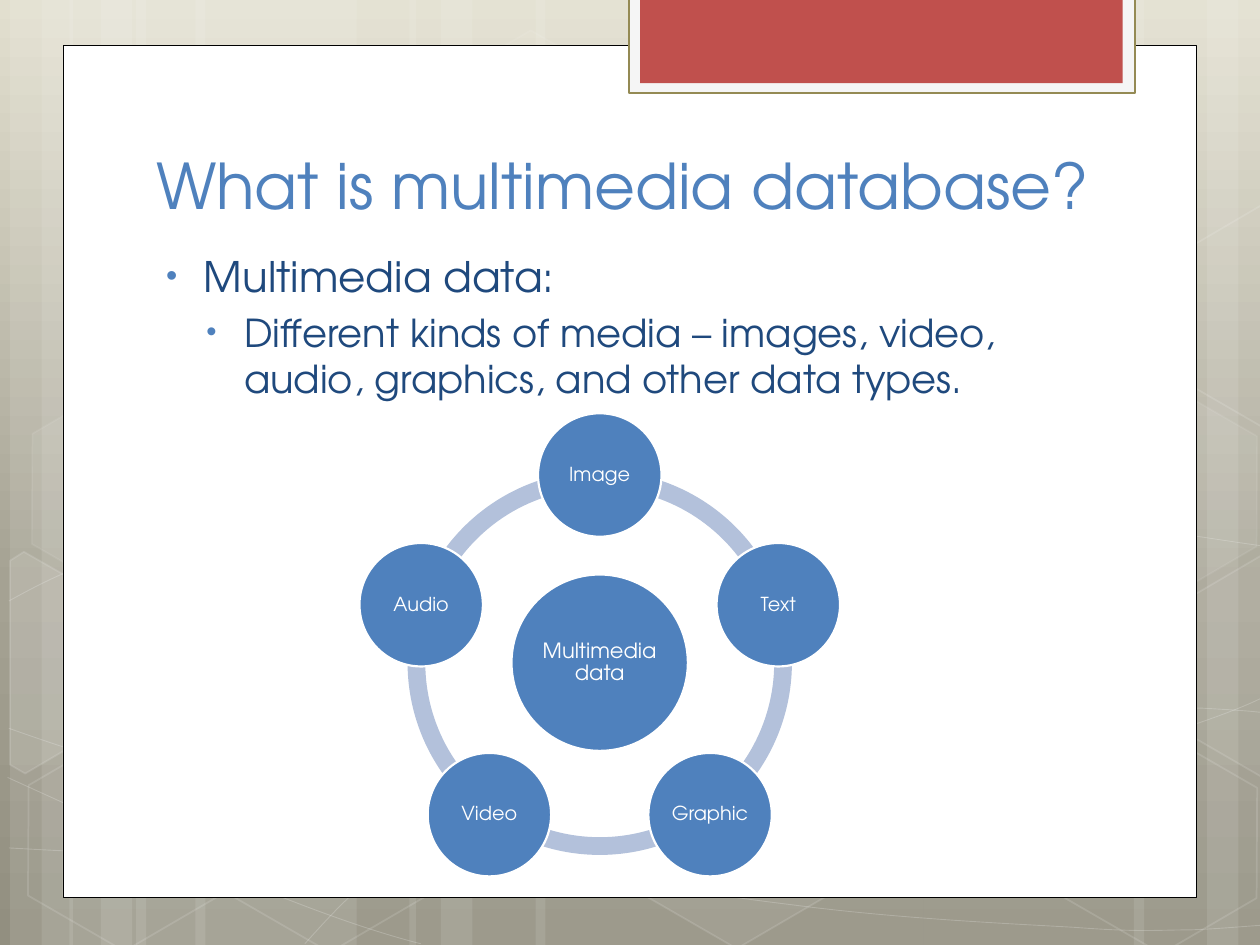
"""Build the slide "What is multimedia database?" with its ring diagram."""
import math
from dataclasses import dataclass

from lxml import etree
from pptx import Presentation, util as u
from pptx.dml.color import RGBColor
from pptx.enum import shapes as s, text as t
from pptx.oxml.ns import qn


@dataclass(frozen=True)
class Theme:
    font: str = "TeX Gyre Adventor"
    bullet_font: str = "Arial"
    white: str = "FFFFFF"
    black: str = "000000"
    blue: str = "4F81BD"
    navy: str = "1F497D"
    ring: str = "B3C1DB"
    red: str = "C0504D"
    tab: str = "F5F5F5"
    olive: str = "948A54"
    backdrop: tuple = ((0, "E2DFCF"), (62, "A5A293"), (100, "928F80"))
    title_size: int = 36
    body_sizes: tuple = (24, 22)
    center_size: int = 12
    node_size: int = 11


THEME = Theme()
TITLE = "What is multimedia database?"
BODY = [
    ("Multimedia data:", 0.38),
    ("Different kinds of media – images, video, audio, graphics, and other data types.", 0.7),
]
CENTER = "Multimedia data"
NODES = ["Image", "Text", "Graphic", "Video", "Audio"]

STRIPES = [
    (1.08, 1.75), (0.08, 0.5), (0.33, 0.83), (1.55, 1.75), (0.55, 0.5), (0.8, 0.83),
    (7.33, 1.75), (9.58, 0.5), (9, 0.83), (4.25, 3.08), (3.25, 0.5), (3.5, 0.83),
]
CURVES = [
    [(0.07, 6.73), (0.61, 6.76), (1.15, 6.79), (1.9, 6.78), (2.65, 6.77), (3.58, 6.75),
     (4.58, 6.65), (5.58, 6.55), (7, 6.36), (7.92, 6.17), (8.83, 5.98), (9.77, 5.68), (10.07, 5.51)],
    [(0.07, 4.77), (0.36, 4.61), (0.65, 4.46), (1.21, 4.31), (1.78, 4.16), (2.59, 3.94),
     (3.47, 3.87), (4.36, 3.8), (5.44, 3.79), (6.54, 3.87), (7.64, 3.95), (9.47, 4.26), (10.07, 4.34)],
    [(0.06, 6.17), (1.27, 6.72), (2.47, 7.27), (3.34, 7.49)],
    [(0.07, 5.78), (0.38, 5.89), (0.7, 6), (1.28, 6.16), (1.86, 6.31), (2.73, 6.56),
     (3.57, 6.73), (4.4, 6.9), (5.45, 7.08), (6.28, 7.18), (7.11, 7.29), (8, 7.33),
     (8.53, 7.36), (9.05, 7.4), (9.19, 7.38), (9.45, 7.38), (9.71, 7.37), (9.89, 7.35), (10.07, 7.34)],
    [(2.42, 7.49), (2.6, 7.29), (2.78, 7.09), (3.02, 6.91), (3.26, 6.73), (3.6, 6.53),
     (3.88, 6.39), (4.16, 6.25), (4.33, 6.19), (4.7, 6.09), (5.06, 5.99), (5.73, 5.85),
     (6.08, 5.78), (6.44, 5.71), (6.49, 5.71), (6.8, 5.69), (7.11, 5.66), (7.6, 5.63),
     (7.94, 5.62), (8.29, 5.61), (8.86, 5.62), (8.86, 5.62), (8.86, 5.62), (9.53, 5.62),
     (9.53, 5.62), (9.71, 5.63), (9.88, 5.64), (9.97, 5.65), (10.06, 5.66), (10.03, 5.65), (10.06, 5.66)],
]
HEXAGONS = [
    (3.34, 0.36, 4, 8), (4.97, 5.89, 6, 12), (0.11, 5.91, 0, 12), (0.14, 3.12, 7, 8),
    (1.74, 5.92, 0, 12), (7.53, 4.53, 10, 12), (8.34, 5.93, 0, 12), (8.34, 3.14, 7, 8),
]
CUT_HEXAGONS = [
    ([(0.08, 4.45), (0.19, 4.38), (0.96, 4.82), (0.95, 5.7), (0.2, 6.14), (0.08, 6.07)], 10),
    ([(9.26, 4.85), (10.01, 4.41), (10.09, 4.46), (10.09, 6.13), (10.02, 6.17), (9.26, 5.73)], 4),
    ([(9.26, 2.07), (10.01, 1.63), (10.1, 1.68), (10.09, 3.35), (10.02, 3.39), (9.26, 2.95)], 0),
]
PANELS = [
    ((0.5, 0.36, 9, 6.76), THEME.white, THEME.black, 0.5),
    ((4.99, -0.02, 4.02, 0.76), THEME.tab, THEME.olive, 1.25),
    ((5.08, -0.02, 3.83, 0.68), THEME.red, None, 0),
]
RING_CENTER = (4.76, 5.26)
RING_SIZE, ORBIT, CENTER_SIZE, NODE_SIZE = 3.05, 1.49, 1.4, 0.98


def set_alpha(parent, percent):
    if percent < 100:
        etree.SubElement(parent.find(qn("a:solidFill"))[0], qn("a:alpha"), val=str(percent * 1000))


def paint(shape, fill=None, line=None, width=0, fill_alpha=100, line_alpha=100):
    shape.shadow.inherit = False
    properties = shape._element.spPr
    if fill and fill_alpha:
        shape.fill.solid()
        shape.fill.fore_color.rgb = RGBColor.from_string(fill)
        set_alpha(properties, fill_alpha)
    else:
        shape.fill.background()
    if line:
        shape.line.color.rgb = RGBColor.from_string(line)
        shape.line.width = u.Pt(width)
        set_alpha(properties.find(qn("a:ln")), line_alpha)
    else:
        shape.line.fill.background()


def add_preset(shapes, kind, *box):
    return shapes.add_shape(kind, *map(u.Inches, box))


def add_outline(shapes, points, closed):
    points = [(u.Inches(x), u.Inches(y)) for x, y in points]
    builder = shapes.build_freeform(*points[0])
    builder.add_line_segments(points[1:], close=closed)
    return builder.convert_to_shape()


def add_curve(shapes, points):
    curve = add_outline(shapes, points, False)
    segments = list(curve._element.iter(qn("a:lnTo")))
    outline = segments[0].getparent()
    for start in range(0, len(segments), 3):
        bend = etree.SubElement(outline, qn("a:cubicBezTo"))
        for segment in segments[start:start + 3]:
            bend.append(segment[0])
            outline.remove(segment)
    return curve


def write(paragraph, words, size, color):
    paragraph.text = words
    paragraph.font.name = THEME.font
    paragraph.font.size = u.Pt(size)
    paragraph.font.color.rgb = RGBColor.from_string(color)


def add_text_frame(slide, anchor, *box):
    frame = slide.shapes.add_textbox(*map(u.Inches, box)).text_frame
    frame.word_wrap = True
    frame.vertical_anchor = anchor
    return frame


def add_bullet(paragraph, margin):
    properties = paragraph._p.get_or_add_pPr()
    properties.set("marL", str(u.Inches(margin)))
    properties.set("indent", str(u.Inches(-0.3)))
    run_defaults = properties.find(qn("a:defRPr"))
    color = etree.SubElement(properties, qn("a:buClr"))
    etree.SubElement(color, qn("a:srgbClr"), val=THEME.blue)
    etree.SubElement(properties, qn("a:buSzPct"), val="76000")
    etree.SubElement(properties, qn("a:buFont"), typeface=THEME.bullet_font)
    etree.SubElement(properties, qn("a:buChar"), char="•")
    properties.append(run_defaults)


def add_circle(shapes, x, y, size, label, type_size):
    circle = add_preset(shapes, s.MSO_SHAPE.OVAL, x - size / 2, y - size / 2, size, size)
    paint(circle, THEME.blue, THEME.white, 1.25)
    frame = circle.text_frame
    frame.word_wrap = True
    frame.vertical_anchor = t.MSO_ANCHOR.MIDDLE
    frame.margin_left = frame.margin_right = frame.margin_top = frame.margin_bottom = u.Inches(0.02)
    paragraph = frame.paragraphs[0]
    paragraph.alignment = t.PP_ALIGN.CENTER
    paragraph.line_spacing = 0.9
    write(paragraph, label, type_size, THEME.white)


def add_backdrop(slide):
    slide.background.fill.gradient()
    gradient = slide._element.find(".//" + qn("a:gradFill"))
    stops = gradient.find(qn("a:gsLst"))
    stops.clear()
    for position, color in THEME.backdrop:
        stop = etree.SubElement(stops, qn("a:gs"), pos=str(position * 1000))
        etree.SubElement(stop, qn("a:srgbClr"), val=color)
    gradient.find(qn("a:lin")).set("ang", "5400000")
    shapes = slide.shapes.add_group_shape().shapes
    for left, width in STRIPES:
        paint(add_preset(shapes, s.MSO_SHAPE.RECTANGLE, left, 0, width, 7.5), THEME.white, fill_alpha=10)
    for points in CURVES:
        paint(add_curve(shapes, points), line=THEME.white, width=0.5, line_alpha=20)
    for left, top, fill_alpha, line_alpha in HEXAGONS:
        hexagon = add_preset(shapes, s.MSO_SHAPE.HEXAGON, left, top, 1.75, 1.52)
        hexagon.adjustments[0], hexagon.adjustments[1] = 0.285, 1.155
        hexagon.rotation = 30
        paint(hexagon, THEME.white, THEME.white, 1, fill_alpha, line_alpha)
    for points, fill_alpha in CUT_HEXAGONS:
        paint(add_outline(shapes, points, True), THEME.white, THEME.white, 1, fill_alpha, 12)


def add_ring(slide):
    shapes = slide.shapes.add_group_shape().shapes
    x, y = RING_CENTER
    step = 360 / len(NODES)
    angles = [(270 + index * step) % 360 for index in range(len(NODES))]
    for angle in angles:
        arc = add_preset(shapes, s.MSO_SHAPE.BLOCK_ARC, x - RING_SIZE / 2, y - RING_SIZE / 2, RING_SIZE, RING_SIZE)
        for index, value in enumerate((angle * 0.6, (angle + step) % 360 * 0.6, 0.046)):
            arc.adjustments[index] = value
        paint(arc, THEME.ring)
    add_circle(shapes, x, y, CENTER_SIZE, CENTER, THEME.center_size)
    for label, angle in zip(NODES, map(math.radians, angles)):
        add_circle(shapes, x + ORBIT * math.cos(angle), y + ORBIT * math.sin(angle), NODE_SIZE, label, THEME.node_size)


presentation = Presentation()
presentation.slide_width, presentation.slide_height = u.Inches(10), u.Inches(7.5)
slide = presentation.slides.add_slide(presentation.slide_layouts[6])
add_backdrop(slide)
for box, fill, line, width in PANELS:
    paint(add_preset(slide.shapes, s.MSO_SHAPE.RECTANGLE, *box), fill, line, width)
title = add_text_frame(slide, t.MSO_ANCHOR.MIDDLE, 1.14, 0.84, 7.68, 1.25)
write(title.paragraphs[0], TITLE, THEME.title_size, THEME.blue)
body = add_text_frame(slide, t.MSO_ANCHOR.TOP, 1.14, 1.94, 7.41, 1.42)
for level, (words, margin) in enumerate(BODY):
    paragraph = body.add_paragraph() if level else body.paragraphs[0]
    paragraph.level = level
    paragraph.space_before = u.Pt(0.2 * THEME.body_sizes[level])
    write(paragraph, words, THEME.body_sizes[level], THEME.navy)
    add_bullet(paragraph, margin)
add_ring(slide)
presentation.save("out.pptx")
